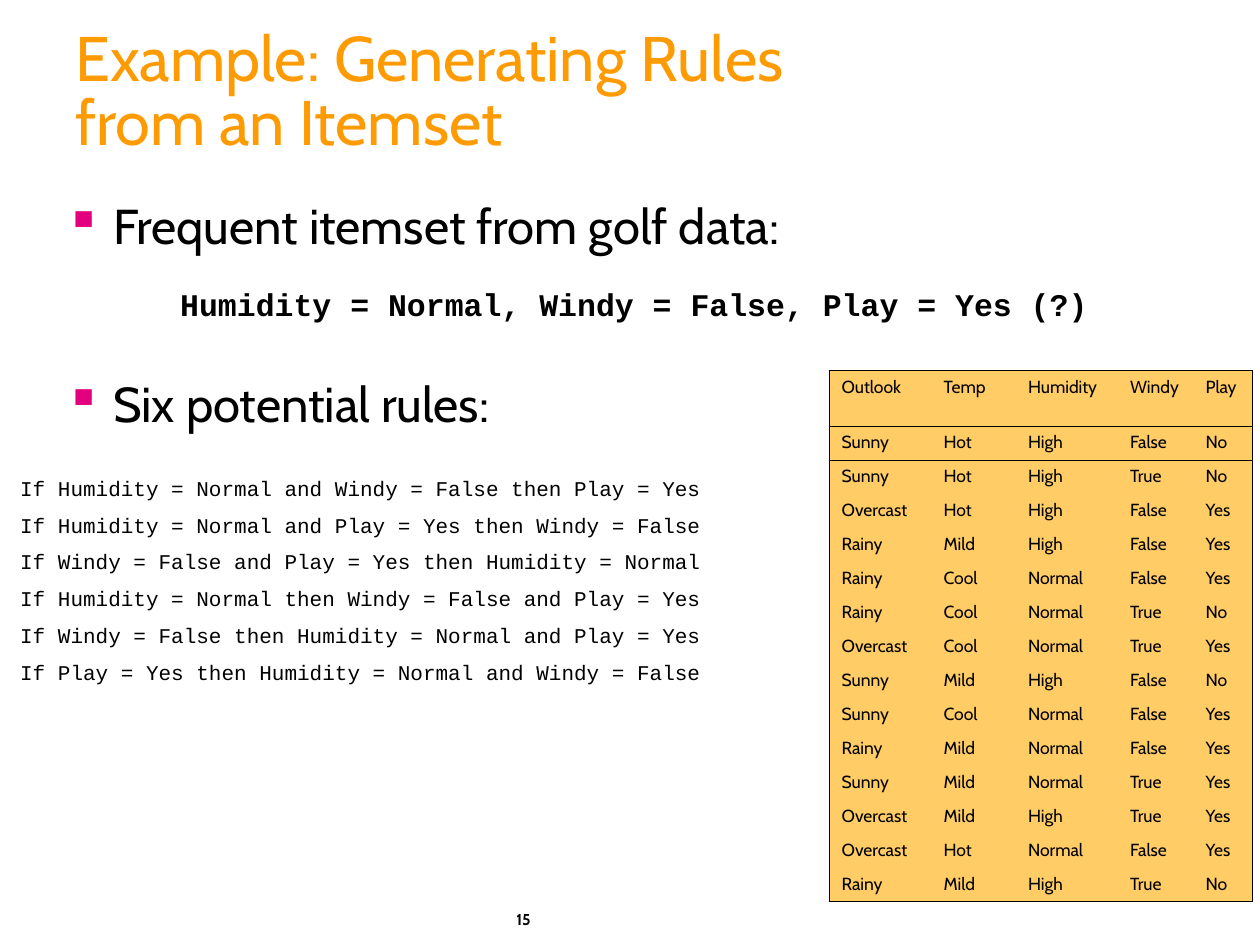
from dataclasses import dataclass

from lxml import etree
from pptx import Presentation
from pptx.dml.color import RGBColor
from pptx.enum.text import MSO_ANCHOR
from pptx.oxml.ns import qn
from pptx.util import Inches, Pt

MIDDLE = MSO_ANCHOR.MIDDLE
TOP = MSO_ANCHOR.TOP
NO_STYLE = "{2D5ABB26-0587-4C30-8999-92F81FD0307C}"


@dataclass(frozen=True)
class Theme:
    sans: str = "Cabin"
    mono: str = "Courier New"
    text: str = "000000"
    title: str = "FE9B03"
    bullet: str = "E2007F"
    cell: str = "FFCC66"
    title_size: float = 36
    body_size: float = 28
    itemset_size: float = 18
    rule_size: float = 12
    data_size: float = 10
    number_size: float = 9
    border_width: float = 0.45


THEME = Theme()

BULLETS = ["Frequent itemset from golf data:", "Six potential rules:"]
ITEMSET = "Humidity = Normal, Windy = False, Play = Yes (?)"
RULES = [
    "If Humidity = Normal and Windy = False then Play = Yes",
    "If Humidity = Normal and Play = Yes then Windy = False",
    "If Windy = False and Play = Yes then Humidity = Normal",
    "If Humidity = Normal then Windy = False and Play = Yes",
    "If Windy = False then Humidity = Normal and Play = Yes",
    "If Play = Yes then Humidity = Normal and Windy = False",
]
GOLF_DATA = [row.split() for row in (
    "Outlook Temp Humidity Windy Play",
    "Sunny Hot High False No",
    "Sunny Hot High True No",
    "Overcast Hot High False Yes",
    "Rainy Mild High False Yes",
    "Rainy Cool Normal False Yes",
    "Rainy Cool Normal True No",
    "Overcast Cool Normal True Yes",
    "Sunny Mild High False No",
    "Sunny Cool Normal False Yes",
    "Rainy Mild Normal False Yes",
    "Sunny Mild Normal True Yes",
    "Overcast Mild High True Yes",
    "Overcast Hot Normal False Yes",
    "Rainy Mild High True No",
)]


def set_text(tf, lines, size, font=THEME.sans, color=THEME.text, bold=False, gap=0):
    tf.text = "\n".join(lines)
    for i, p in enumerate(tf.paragraphs):
        if i and gap:
            p.space_before = Pt(gap)
        for r in p.runs:
            r.font.size = Pt(size)
            r.font.name = font
            r.font.bold = bold
            r.font.color.rgb = RGBColor.from_string(color)


def add_text(slide, box, lines, size, anchor=TOP, **style):
    sp = slide.shapes.add_textbox(*map(Inches, box))
    tf = sp.text_frame
    tf.word_wrap = True
    tf.vertical_anchor = anchor
    set_text(tf, lines, size, **style)
    return tf


def add_bullet(p, indent):
    pPr = p._p.get_or_add_pPr()
    pPr.set("marL", str(Inches(indent)))
    pPr.set("indent", str(-Inches(indent)))
    clr = etree.SubElement(pPr, qn("a:buClr"))
    etree.SubElement(clr, qn("a:srgbClr"), val=THEME.bullet)
    etree.SubElement(pPr, qn("a:buChar"), char="▪")


def add_plain_table(slide, left, top, widths, heights):
    sp = slide.shapes.add_table(
        len(heights), len(widths), Inches(left), Inches(top),
        Inches(sum(widths)), Inches(sum(heights)))
    table = sp.table
    table.first_row = False
    table.horz_banding = False
    table._tbl.tblPr.find(qn("a:tableStyleId")).text = NO_STYLE
    for col, width in zip(table.columns, widths):
        col.width = Inches(width)
    for row, height in zip(table.rows, heights):
        row.height = Inches(height)
    for cell in table.iter_cells():
        cell.fill.background()
    return table


def add_borders(cell, sides):
    tcPr = cell._tc.get_or_add_tcPr()
    for i, side in enumerate(sides):
        ln = etree.Element(qn(f"a:ln{side}"), w=str(Pt(THEME.border_width)))
        fill = etree.SubElement(ln, qn("a:solidFill"))
        etree.SubElement(fill, qn("a:srgbClr"), val=THEME.text)
        tcPr.insert(i, ln)


def add_data_table(slide, left, top, widths, heights, rows):
    table = add_plain_table(slide, left, top, widths, heights)
    last_row, last_col = len(rows) - 1, len(widths) - 1
    for i, row in enumerate(rows):
        for j, value in enumerate(row):
            cell = table.cell(i, j)
            set_text(cell.text_frame, [value], THEME.data_size)
            cell.fill.solid()
            cell.fill.fore_color.rgb = RGBColor.from_string(THEME.cell)
            edges = {"L": j == 0, "R": j == last_col,
                     "T": i <= 1, "B": i in (0, last_row)}
            add_borders(cell, [side for side, drawn in edges.items() if drawn])


def main():
    prs = Presentation()
    prs.slide_width, prs.slide_height = Inches(10), Inches(7.5)
    slide = prs.slides.add_slide(prs.slide_layouts[6])

    add_text(slide, (4, 7.17, 1.02, 0.33), ["15"], THEME.number_size, bold=True)
    title = add_text(slide, (0.5, 0.25, 9.08, 1),
                     ["Example: Generating Rules \vfrom an Itemset"],
                     THEME.title_size, anchor=MIDDLE, color=THEME.title)
    title.paragraphs[0].line_spacing = 0.85

    body = add_text(slide, (0.42, 1.5, 9.08, 5.17), BULLETS, THEME.body_size, gap=68)
    for p in body.paragraphs:
        add_bullet(p, 0.38)

    itemset = add_plain_table(slide, 1.33, 2.25, [7.83], [0.4])
    set_text(itemset.cell(0, 0).text_frame, [ITEMSET], THEME.itemset_size,
             font=THEME.mono, bold=True)

    rules = add_plain_table(slide, 0.06, 3.75, [5.83, 0.51], [2.77])
    set_text(rules.cell(0, 0).text_frame, RULES, THEME.rule_size,
             font=THEME.mono, gap=7.5)

    add_data_table(slide, 6.58, 2.94, [0.81, 0.67, 0.81, 0.6, 0.47],
                   [0.44] + [0.27] * (len(GOLF_DATA) - 1), GOLF_DATA)

    prs.save("out.pptx")


if __name__ == "__main__":
    main()
